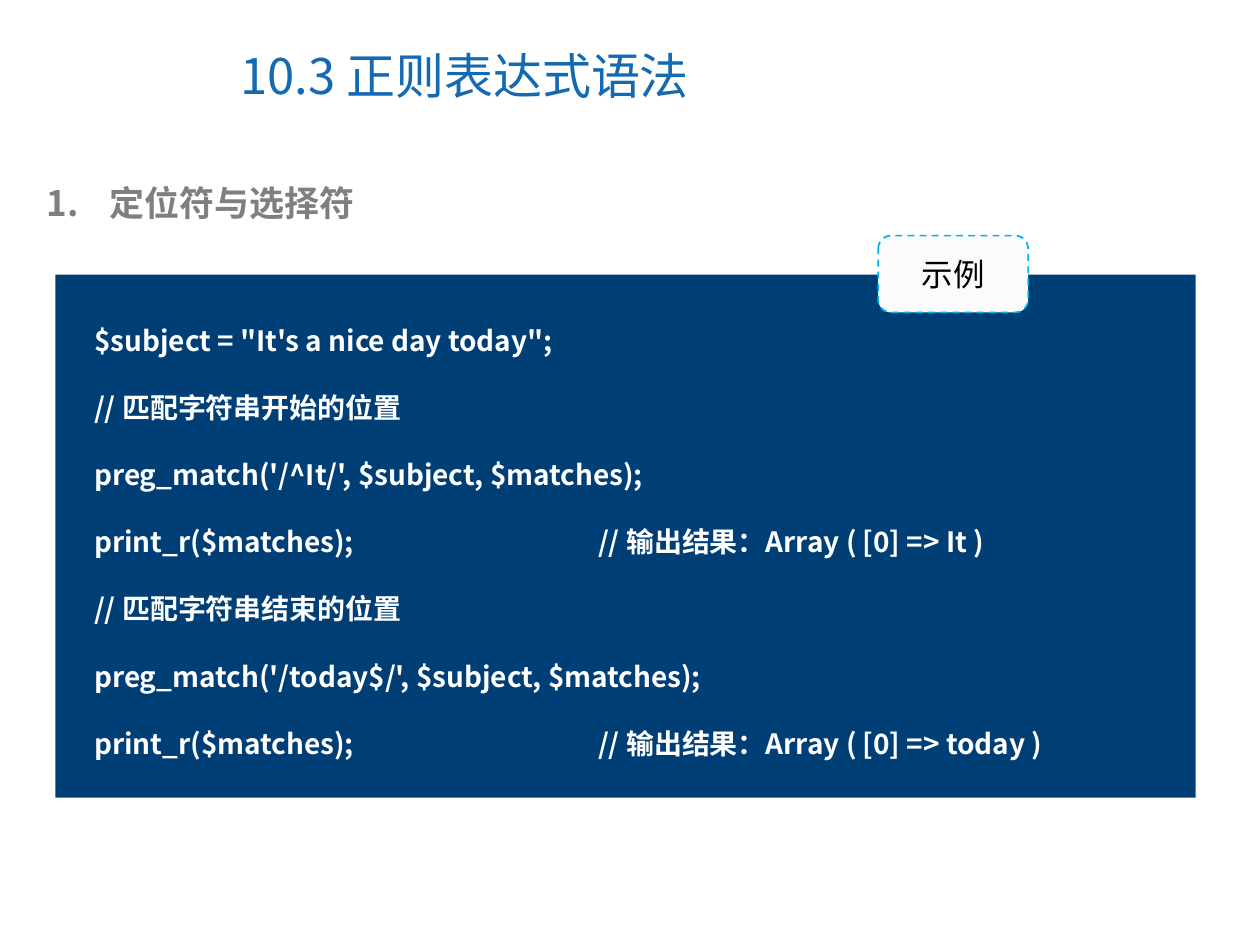
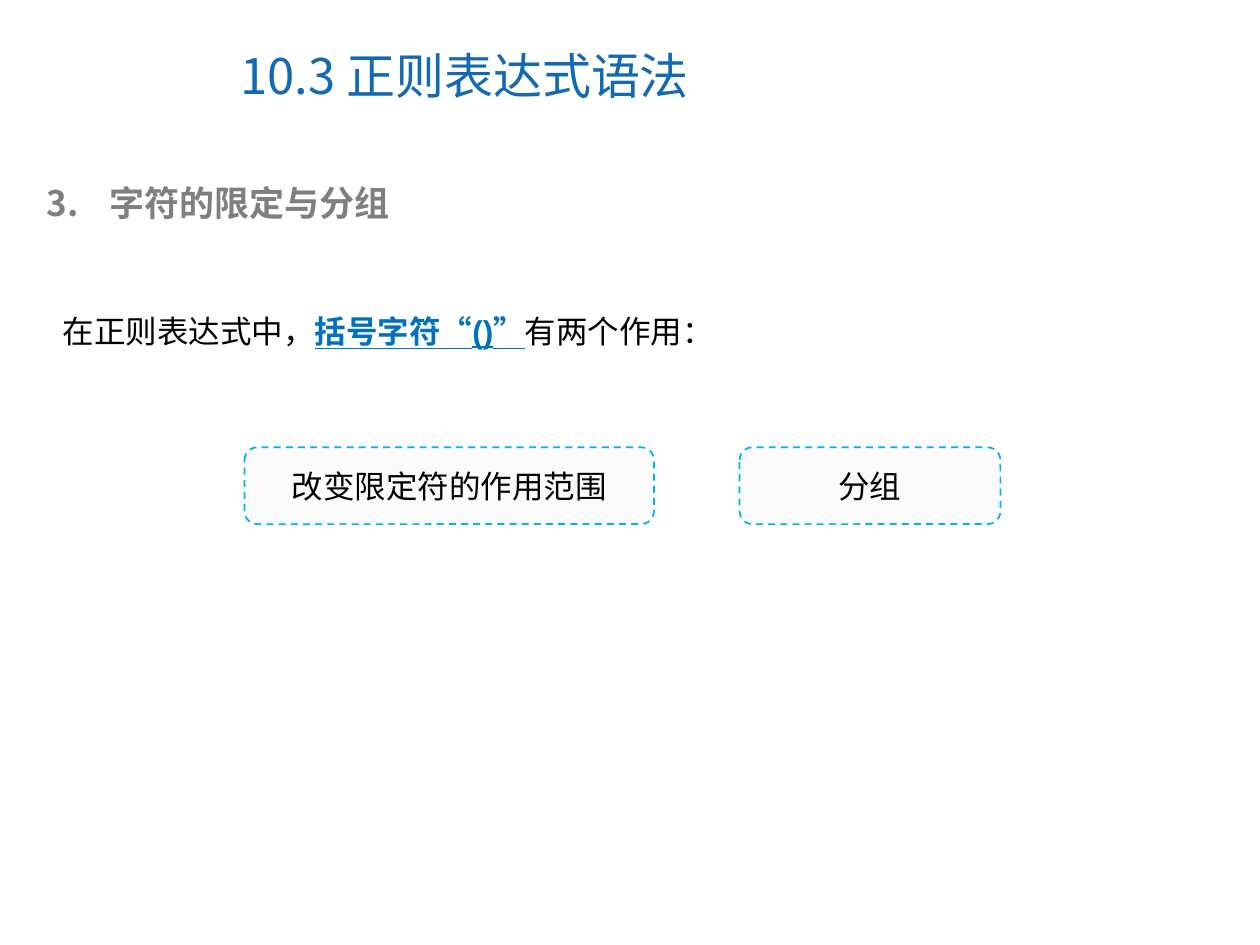
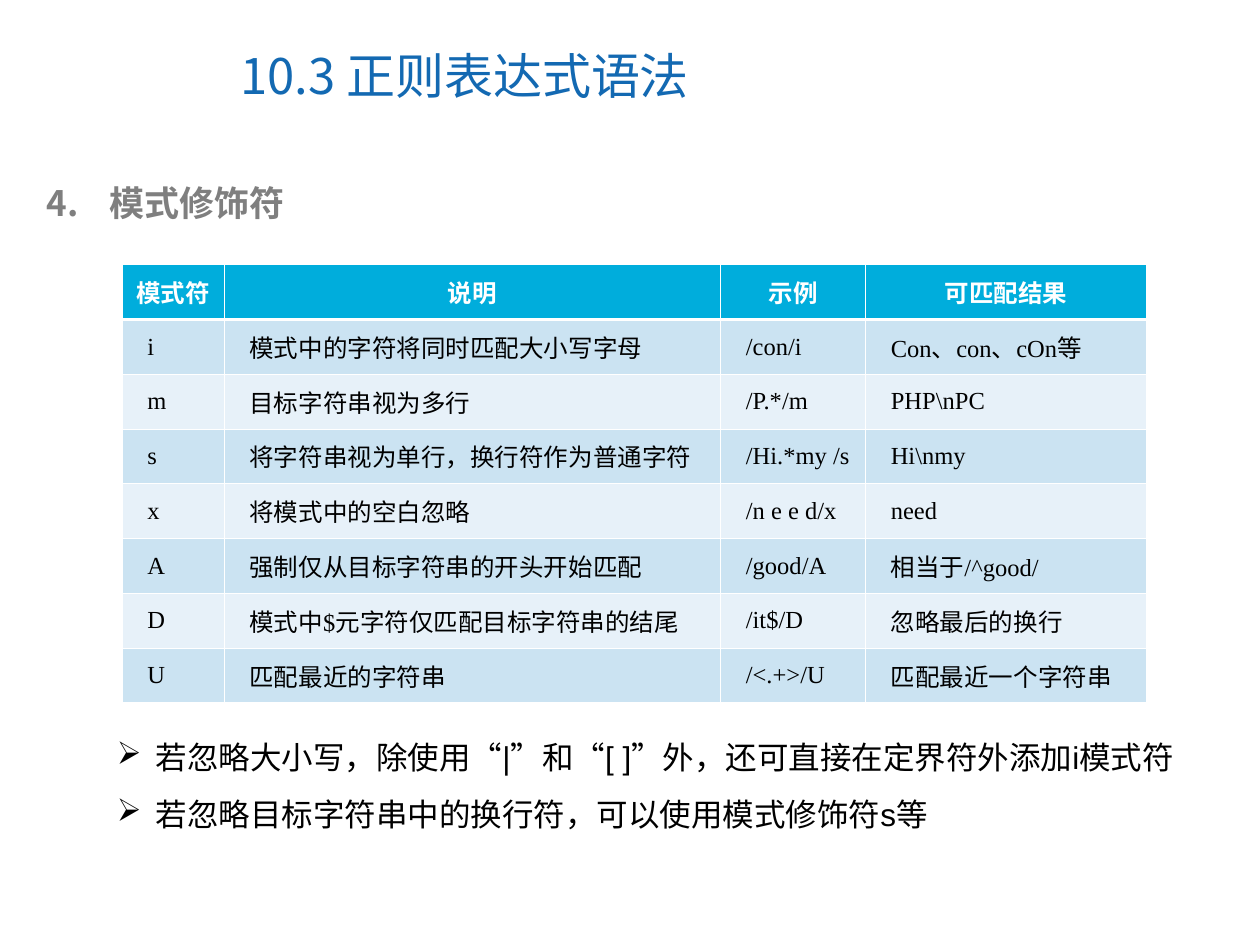
from dataclasses import dataclass, field
from typing import Any

from lxml import etree
from pptx import Presentation
from pptx.dml.color import RGBColor
from pptx.enum import dml, shapes, text
from pptx.oxml import ns
from pptx.util import Inches, Pt

# Shared colours and fonts
BLUE = RGBColor(0x13, 0x69, 0xB2)
GRAY = RGBColor(0x7F, 0x7F, 0x7F)
NAVY = RGBColor(0x00, 0x3F, 0x75)
LINK = RGBColor(0x00, 0x70, 0xC0)
CYAN = RGBColor(0x00, 0xB4, 0xE9)
HEADER = RGBColor(0x00, 0xAD, 0xDC)
BAND_DARK = RGBColor(0xCB, 0xE3, 0xF2)
BAND_LIGHT = RGBColor(0xE7, 0xF1, 0xF9)
PALE = RGBColor(0xFB, 0xFB, 0xFB)
WHITE = RGBColor(0xFF, 0xFF, 0xFF)
BLACK = RGBColor(0x00, 0x00, 0x00)
CJK = "Noto Sans CJK SC"

# Shared text formats
TITLE = {"size": Pt(28), "name": CJK, "color": BLUE}
HEADING = {"size": Pt(20), "name": CJK, "color": GRAY, "bold": True}
CODE = {"size": Pt(16), "name": CJK, "color": WHITE, "bold": True}
BODY = {"size": Pt(18), "name": "Arial", "color": BLACK}
EMPHASIS = BODY | {"color": LINK, "bold": True, "underline": True}
TABLE_HEAD = {"size": Pt(14), "name": "Arial", "color": WHITE, "bold": True}
TABLE_BODY = {"size": Pt(14), "name": "Times New Roman", "color": BLACK}

SLIDE_TITLE = "10.3 正则表达式语法"


@dataclass
class Box:
    left: float
    top: float
    width: float
    height: float

    def lengths(self) -> list[Inches]:
        return [Inches(v) for v in (self.left, self.top, self.width, self.height)]


@dataclass
class Line:
    """One paragraph: (text, format) runs plus paragraph settings."""
    runs: list[tuple[str, dict]]
    settings: dict = field(default_factory=dict)
    indent: float = 0
    bullet: tuple[str, dict] | None = None
    bullet_color: RGBColor = BLACK


@dataclass
class Label:
    caption: str
    box: Box


TITLE_BOX = Box(1.81, 0.17, 5.16, 0.85)
HEADING_BOX = Box(0.27, 1.39, 9.22, 0.44)

CODE_PANEL = Box(0.44, 2.18, 9.05, 4.15)
CODE_BOX = Box(0.65, 2.25, 8.74, 3.83)
CODE_LINES = [
    "$subject = \"It's a nice day today\";",
    "// 匹配字符串开始的位置",
    "preg_match('/^It/', $subject, $matches);",
    "print_r($matches);\t\t// 输出结果：Array ( [0] => It )",
    "// 匹配字符串结束的位置",
    "preg_match('/today$/', $subject, $matches);",
    "print_r($matches);\t\t// 输出结果：Array ( [0] => today )",
]
EXAMPLE = Label("示例", Box(6.97, 1.87, 1.19, 0.61))

BRACKET_USES = [
    Label("改变限定符的作用范围", Box(1.94, 3.55, 3.25, 0.61)),
    Label("分组", Box(5.87, 3.55, 2.07, 0.61)),
]

MODIFIER_BOX = Box(0.97, 2.1, 8.13, 3.48)
MODIFIER_WIDTHS = [0.81, 3.94, 1.15, 2.23]
MODIFIERS = [
    ("模式符", "说明", "示例", "可匹配结果"),
    ("i", "模式中的字符将同时匹配大小写字母", "/con/i", "Con、con、cOn等"),
    ("m", "目标字符串视为多行", "/P.*/m", "PHP\\nPC"),
    ("s", "将字符串视为单行，换行符作为普通字符", "/Hi.*my /s", "Hi\\nmy"),
    ("x", "将模式中的空白忽略", "/n e e d/x", "need"),
    ("A", "强制仅从目标字符串的开头开始匹配", "/good/A", "相当于/^good/"),
    ("D", "模式中$元字符仅匹配目标字符串的结尾", "/it$/D", "忽略最后的换行"),
    ("U", "匹配最近的字符串", "/<.+>/U", "匹配最近一个字符串"),
]
NOTES = [
    "若忽略大小写，除使用“|”和“[ ]”外，还可直接在定界符外添加i模式符",
    "若忽略目标字符串中的换行符，可以使用模式修饰符s等",
]


def add_xml(parent: Any, tag: str, **attributes: str) -> Any:
    return etree.SubElement(parent, ns.qn(tag), attributes)


def add_run(paragraph: Any, content: str, style: dict) -> None:
    run = paragraph.add_run()
    run.text = content
    for key, value in style.items():
        if key == "color":
            run.font.color.rgb = value
        else:
            setattr(run.font, key, value)
    add_xml(run._r.get_or_add_rPr(), "a:ea", typeface=CJK)


def write(frame: Any, lines: list[Line], anchor: Any = text.MSO_ANCHOR.TOP) -> None:
    frame.word_wrap = True
    frame.vertical_anchor = anchor
    for index, line in enumerate(lines):
        paragraph = frame.add_paragraph() if index else frame.paragraphs[0]
        properties = paragraph._p.get_or_add_pPr()
        if line.bullet:
            tag, attributes = line.bullet
            properties.set("marL", str(Inches(line.indent)))
            properties.set("indent", str(-Inches(line.indent)))
            color = add_xml(properties, "a:buClr")
            add_xml(color, "a:srgbClr", val=str(line.bullet_color))
            add_xml(properties, tag, **attributes)
        elif line.indent:
            properties.set("marL", str(Inches(line.indent)))
        if any("\t" in content for content, _ in line.runs):
            stops = add_xml(properties, "a:tabLst")
            for inch in range(1, 8):
                add_xml(stops, "a:tab", pos=str(Inches(inch)), algn="l")
        for key, value in line.settings.items():
            setattr(paragraph, key, value)
        for content, style in line.runs:
            add_run(paragraph, content, style)


def add_text(target: Any, box: Box, lines: list[Line],
             anchor: Any = text.MSO_ANCHOR.TOP) -> None:
    write(target.add_textbox(*box.lengths()).text_frame, lines, anchor)


def add_label(target: Any, label: Label) -> None:
    """Rounded, dashed box with a centred caption."""
    frame = target.add_shape(shapes.MSO_SHAPE.ROUNDED_RECTANGLE, *label.box.lengths())
    frame.shadow.inherit = False
    frame.fill.solid()
    frame.fill.fore_color.rgb = PALE
    frame.line.color.rgb = CYAN
    frame.line.width = Pt(1)
    frame.line.dash_style = dml.MSO_LINE.DASH
    centred = {"alignment": text.PP_ALIGN.CENTER}
    write(frame.text_frame, [Line([(label.caption, BODY)], centred)],
          text.MSO_ANCHOR.MIDDLE)


def add_section(deck: Any, number: int, heading: str) -> Any:
    """New slide with the shared title and a numbered heading."""
    target = deck.slides.add_slide(deck.slide_layouts[6]).shapes
    add_text(target, TITLE_BOX, [Line([(SLIDE_TITLE, TITLE)])], text.MSO_ANCHOR.MIDDLE)
    numbering = ("a:buAutoNum", {"type": "arabicPeriod", "startAt": str(number)})
    add_text(target, HEADING_BOX,
             [Line([(heading, HEADING)], {}, 0.5, numbering, GRAY)])
    return target


def set_borders(cell: Any, row: int) -> None:
    heavy_side = {0: "B", 1: "T"}.get(row)
    for side in "LRTB":
        width = Pt(1.47 if side == heavy_side else 0.45)
        edge = add_xml(cell._tc.get_or_add_tcPr(), f"a:ln{side}", w=str(width))
        add_xml(add_xml(edge, "a:solidFill"), "a:srgbClr", val=str(WHITE))


def add_modifier_table(target: Any) -> None:
    table = target.add_table(len(MODIFIERS), len(MODIFIER_WIDTHS),
                             *MODIFIER_BOX.lengths()).table
    for column, width in zip(table.columns, MODIFIER_WIDTHS):
        column.width = Inches(width)
    for row, values in enumerate(MODIFIERS):
        table.rows[row].height = Inches(MODIFIER_BOX.height / len(MODIFIERS))
        for column, value in enumerate(values):
            cell = table.cell(row, column)
            set_borders(cell, row)
            cell.fill.solid()
            if row == 0:
                fill, style, indent = HEADER, TABLE_HEAD, 0
                alignment = text.PP_ALIGN.CENTER
            else:
                fill = BAND_DARK if row % 2 else BAND_LIGHT
                style, indent = TABLE_BODY, 0.12
                alignment = text.PP_ALIGN.JUSTIFY
            cell.fill.fore_color.rgb = fill
            cell.margin_left = cell.margin_right = Inches(0.08)
            cell.vertical_anchor = text.MSO_ANCHOR.MIDDLE
            write(cell.text_frame,
                  [Line([(value, style)], {"alignment": alignment}, indent)],
                  text.MSO_ANCHOR.MIDDLE)


def build_anchors(deck: Any) -> None:
    target = add_section(deck, 1, "定位符与选择符")
    example = target.add_group_shape().shapes
    panel = example.add_shape(shapes.MSO_SHAPE.RECTANGLE, *CODE_PANEL.lengths())
    panel.shadow.inherit = False
    panel.fill.solid()
    panel.fill.fore_color.rgb = NAVY
    panel.line.fill.background()
    add_text(example, CODE_BOX,
             [Line([(code, CODE)], {"line_spacing": 2.0}) for code in CODE_LINES])
    add_label(target, EXAMPLE)


def build_grouping(deck: Any) -> None:
    target = add_section(deck, 3, "字符的限定与分组")
    sentence = [("在正则表达式中，", BODY), ("括号字符“()”", EMPHASIS),
                ("有两个作用：", BODY)]
    add_text(target, Box(0.4, 2.13, 9.19, 0.7), [Line(sentence, {"line_spacing": 2.0})])
    for use in BRACKET_USES:
        add_label(target, use)


def build_modifiers(deck: Any) -> None:
    target = add_section(deck, 4, "模式修饰符")
    add_modifier_table(target)
    arrow = ("a:buChar", {"char": "➢"})
    add_text(target, Box(0.83, 5.66, 8.76, 1.45),
             [Line([(note, BODY)], {"line_spacing": 1.5}, 0.31, arrow) for note in NOTES])


def main() -> None:
    deck = Presentation()
    deck.slide_width, deck.slide_height = Inches(10), Inches(7.5)
    build_anchors(deck)
    build_grouping(deck)
    build_modifiers(deck)
    deck.save("out.pptx")


if __name__ == "__main__":
    main()
